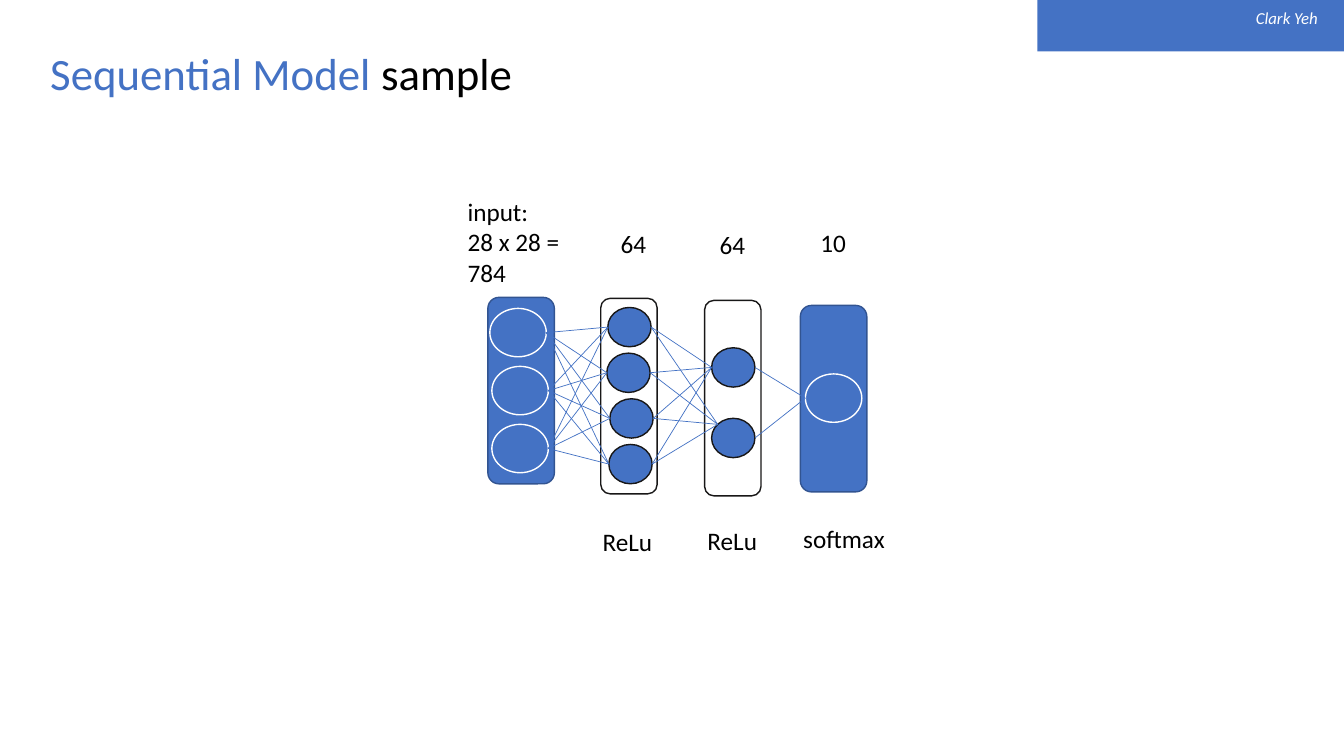
import itertools
import pptx
import pptx.util
import pptx.dml.color
import pptx.enum.shapes
import pptx.enum.text
from pptx.oxml import parse_xml
from pptx.oxml.ns import nsdecls

RGB = pptx.dml.color.RGBColor
BLUE = RGB(0x44, 0x72, 0xC4)
NAVY = RGB(0x32, 0x54, 0x91)
INK = RGB(0x18, 0x17, 0x17)
BLACK = RGB(0, 0, 0)
WHITE = RGB(0xFF, 0xFF, 0xFF)
KIND = pptx.enum.shapes.MSO_SHAPE
ANCHOR = pptx.enum.text.MSO_ANCHOR
CELL = pptx.util.Inches(0.1)  # one column or row of the grid
WIDE, HIGH = 133.33, 75


def span(num):
    """Turn grid cells into a length."""
    return int(num * CELL)


class Board:
    """Holds the style and the current slide."""

    face = "Calibri"
    edge, wire = 1, 0.5

    def __init__(self, deck):
        """Add a blank slide to the deck."""
        self.shapes = deck.slides.add_slide(deck.slide_layouts[6]).shapes

    def shape(self, kind, box, fill=None, line=None):
        """Draw a preset shape; None means no fill or no line."""
        item = self.shapes.add_shape(kind, *map(span, box))
        item.shadow.inherit = False
        for part, tint in ((item.fill, fill), (item.line.fill, line)):
            if tint is None:
                part.background()
            else:
                part.solid()
                part.fore_color.rgb = tint
        if line is not None:
            item.line.width = pptx.util.Pt(self.edge)

    def link(self, start, end):
        """Draw a thin straight line between two points."""
        item = self.shapes.add_connector(
            pptx.enum.shapes.MSO_CONNECTOR.STRAIGHT, *map(span, start + end))
        item.line.color.rgb = BLUE
        item.line.width = pptx.util.Pt(self.wire)
        item._element.spPr.append(
            parse_xml("<a:effectLst %s/>" % nsdecls("a")))

    def text(self, box, rows, size=18, gap=None, **frame):
        """Write rows, each a list of (words, colour, italic) runs."""
        body = self.shapes.add_textbox(*map(span, box)).text_frame
        for key, val in {"word_wrap": False, **frame}.items():
            setattr(body, key, val)
        for num, row in enumerate(rows):
            para = body.add_paragraph() if num else body.paragraphs[0]
            para.line_spacing = gap
            for words, tint, slant in row:
                run = para.add_run()
                run.text = words
                form = {"name": self.face, "size": pptx.util.Pt(size),
                        "italic": slant}
                for key, val in form.items():
                    setattr(run.font, key, val)
                run.font.color.rgb = tint

    def label(self, box, *rows):
        """Write plain black rows."""
        self.text(box, [[(row, BLACK, False)] for row in rows])


class Layer:
    """A network layer: a panel and its column of nodes."""

    def __init__(self, panel, solid, lefts, top, pitch=0):
        """Place nodes at the given lefts, one pitch apart."""
        self.panel, self.solid = panel, solid
        self.size = (5.6, 4.8) if solid else (4.3, 3.9)
        self.nodes = [(left, top + num * pitch)
                      for num, left in enumerate(lefts)]

    def draw(self, board):
        """Draw the panel, then the nodes."""
        fill, line, ring = ((BLUE, NAVY, WHITE) if self.solid
                            else (None, INK, INK))
        board.shape(KIND.ROUNDED_RECTANGLE, self.panel, fill, line)
        for node in self.nodes:
            board.shape(KIND.OVAL, node + self.size, BLUE, ring)

    def ports(self, side):
        """List node edge points: side 0 is left, 1 is right."""
        wide, high = self.size
        return [(left + side * wide, top + high / 2)
                for left, top in self.nodes]


deck = pptx.Presentation()
deck.slide_width, deck.slide_height = span(WIDE), span(HIGH)
board = Board(deck)

board.shape(KIND.RECTANGLE, (102.9, 0, WIDE - 102.9, 5.1), BLUE)
board.text((123.6, 0.3, 8.7, 3), [[("Clark Yeh", WHITE, True)]], 12)
board.text((4, 4.2, 61.2, 6.6),
           [[("Sequential Model ", BLUE, False), ("sample", BLACK, False)]],
           32, 0.9, word_wrap=True, vertical_anchor=ANCHOR.MIDDLE)

layers = [
    Layer((48.4, 29.5, 6.6, 18.5), True, (48.6, 48.8, 48.8), 30.6, 5.75),
    Layer((59.6, 29.6, 5.6, 19.4), False,
          (60.3, 60.2, 60.5, 60.4), 30.5, 4.53),
    Layer((69.9, 29.8, 5.6, 19.4), False, (70.6, 70.6), 34.5, 7),
    Layer((79.4, 30.3, 6.6, 18.5), True, (79.9,), 37.1),
]
for layer in layers:
    layer.draw(board)

# The lower node of the third layer is met at its upper left.
goals = [layer.ports(0) for layer in layers]
goals[2][1] = (71.2, 42.1)
for layer, ends in zip(layers, goals[1:]):
    for start, end in itertools.product(layer.ports(1), ends):
        board.link(start, end)

board.label((45.4, 19, 11.2, 10.1), "input:", "28 x 28 =", "784")
for left, top, count in ((60.6, 22.2, "64"), (70.4, 22.3, "64"),
                         (80.4, 22.1, "10")):
    board.label((left, top, 4.6, 4), count)
for left, top, wide, name in ((58.8, 51.7, 7, "ReLu"), (69.2, 51.6, 7, "ReLu"),
                              (78.7, 51.4, 10.2, "softmax")):
    board.label((left, top, wide, 4), name)

deck.save("out.pptx")
